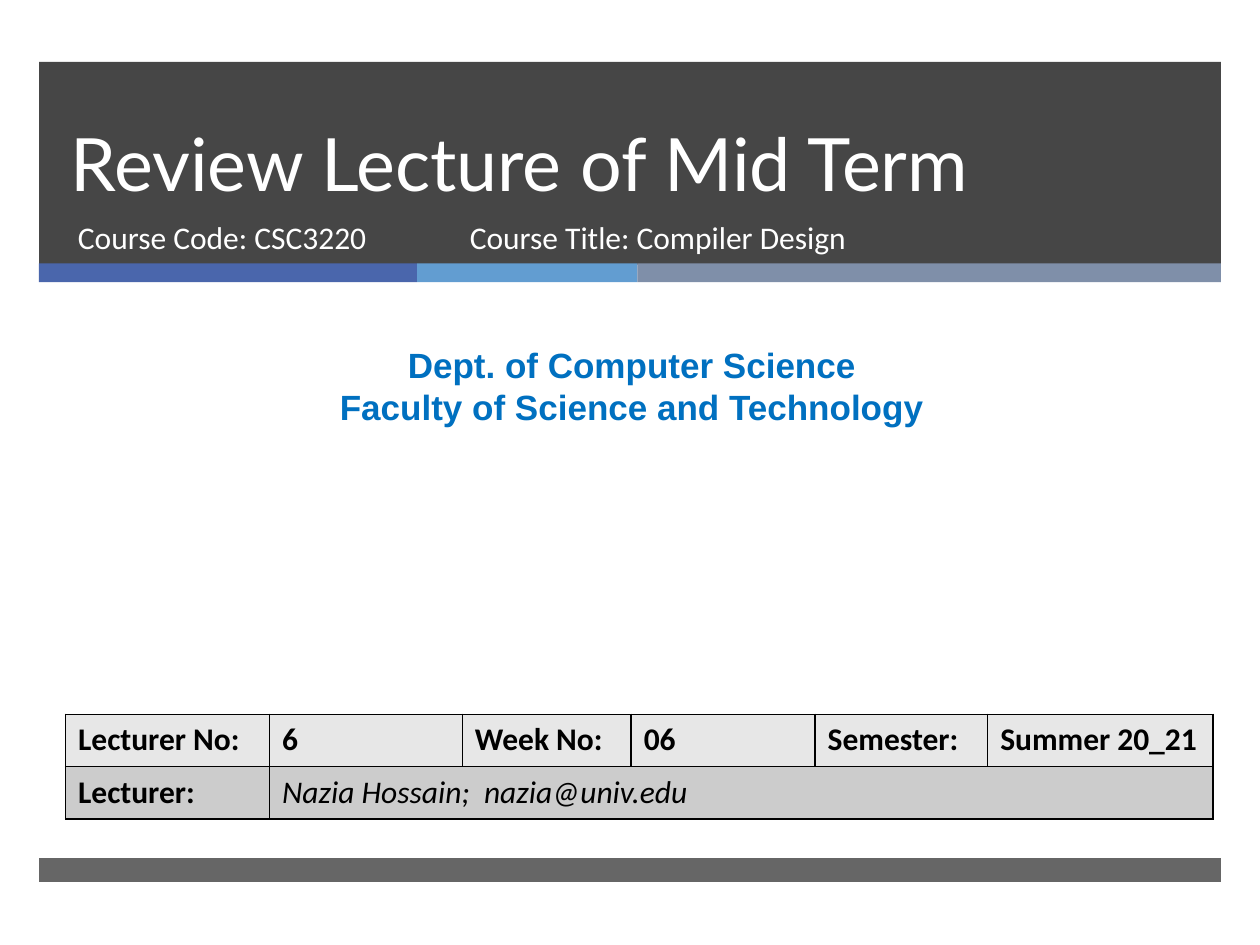
from lxml import etree
from pptx import Presentation
from pptx.dml.color import RGBColor
from pptx.enum.shapes import MSO_SHAPE
from pptx.enum.text import MSO_ANCHOR, MSO_AUTO_SIZE, PP_ALIGN
from pptx.oxml.ns import qn
from pptx.util import Inches, Pt

RECTANGLE = MSO_SHAPE.RECTANGLE
TOP, BOTTOM = MSO_ANCHOR.TOP, MSO_ANCHOR.BOTTOM
LEFT, CENTER = PP_ALIGN.LEFT, PP_ALIGN.CENTER
NO_AUTOFIT = MSO_AUTO_SIZE.NONE

TITLE = "Review Lecture of Mid Term"
BAND_LEFT, BAND_WIDTH = 0.31, 9.38
BANDS = [(0.49, 1.61, "262626", 85), (6.81, 0.19, "262626", 70)]
STRIPES = [(3, "4A66AC"), (1.75, "629DD1"), (4.63, "7F8FA9")]
STRIPE_TOP, STRIPE_HEIGHT = 2.09, 0.15
TEXTS = [
    ((0.52, 1.68, 3.05, 0.53), ["Course Code: CSC3220"],
     dict(size=18, name="Calibri", color="FFFFFF"), LEFT),
    ((3.63, 1.68, 4.55, 0.53), ["Course Title: Compiler Design"],
     dict(size=18, name="Calibri", color="FFFFFF"), LEFT),
    ((0.08, 2.68, 9.87, 0.77),
     ["Dept. of Computer Science", "Faculty of Science and Technology"],
     dict(size=20, name="Arial", color="0070C0", bold=True), CENTER),
]
COLUMNS = [1.62, 1.53, 1.34, 1.46, 1.37, 1.79]
ROW_HEIGHT = 0.415
ROWS = [
    ("E7E7E7", ["Lecturer No:", "6", "Week No:", "06", "Semester:", "Summer 20_21"]),
    ("CCCCCC", ["Lecturer:", "Nazia Hossain;  nazia@univ.edu"]),
]


def rgb(color):
    return RGBColor.from_string(color)


def set_font(para, size, name, color, bold=False, italic=False):
    font = para.font
    font.size, font.name, font.bold, font.italic = Pt(size), name, bold, italic
    font.color.rgb = rgb(color)


def add_bar(page, left, top, width, height, color, opacity=100):
    bar = page.shapes.add_shape(
        RECTANGLE, Inches(left), Inches(top), Inches(width), Inches(height))
    bar.shadow.inherit = False
    bar.fill.solid()
    bar.fill.fore_color.rgb = rgb(color)
    bar.line.fill.background()
    if opacity < 100:
        tone = bar.element.spPr.find(qn("a:solidFill"))[0]
        etree.SubElement(tone, qn("a:alpha")).set("val", str(opacity * 1000))


def add_text(page, place, lines, style, align):
    box = page.shapes.add_textbox(*map(Inches, place))
    frame = box.text_frame
    frame.word_wrap = True
    frame.vertical_anchor = TOP
    frame.text = "\n".join(lines)
    for para in frame.paragraphs:
        para.alignment = align
        set_font(para, **style)


def add_borders(cell, color="000000", width=1):
    props = cell._tc.get_or_add_tcPr()
    for index, side in enumerate(("a:lnL", "a:lnR", "a:lnT", "a:lnB")):
        line = etree.Element(qn(side), w=str(Pt(width)))
        fill = etree.SubElement(line, qn("a:solidFill"))
        etree.SubElement(fill, qn("a:srgbClr"), val=color)
        props.insert(index, line)


def add_details(page):
    table = page.shapes.add_table(
        len(ROWS), len(COLUMNS), Inches(0.52), Inches(5.67),
        Inches(sum(COLUMNS)), Inches(ROW_HEIGHT * len(ROWS))).table
    for column, width in zip(table.columns, COLUMNS):
        column.width = Inches(width)
    table.cell(1, 1).merge(table.cell(1, len(COLUMNS) - 1))
    for r, (color, texts) in enumerate(ROWS):
        table.rows[r].height = Inches(ROW_HEIGHT)
        for c in range(len(COLUMNS)):
            cell = table.cell(r, c)
            cell.fill.solid()
            cell.fill.fore_color.rgb = rgb(color)
            add_borders(cell)
            if c < len(texts):
                cell.text = texts[c]
                lecturer = (r, c) == (1, 1)
                set_font(cell.text_frame.paragraphs[0], 18, "Calibri", "000000",
                         bold=not lecturer, italic=lecturer)


def add_title(page):
    title = page.shapes.title
    title.left, title.top, title.width, title.height = map(
        Inches, (0.46, 0.5, 8.54, 1.19))
    frame = title.text_frame
    frame.text = TITLE
    frame.auto_size = NO_AUTOFIT
    frame.vertical_anchor = BOTTOM
    para = frame.paragraphs[0]
    para.alignment = LEFT
    para.line_spacing = Pt(46)
    set_font(para, 42, "Lato", "FFFFFF")
    title.element.getparent().append(title.element)


deck = Presentation()
deck.slide_width, deck.slide_height = Inches(10), Inches(7.5)
page = deck.slides.add_slide(deck.slide_layouts[5])

for top, height, color, opacity in BANDS:
    add_bar(page, BAND_LEFT, top, BAND_WIDTH, height, color, opacity)
left = BAND_LEFT
for width, color in STRIPES:
    add_bar(page, left, STRIPE_TOP, width, STRIPE_HEIGHT, color)
    left += width
add_title(page)
for text in TEXTS:
    add_text(page, *text)
add_details(page)

deck.save("out.pptx")
